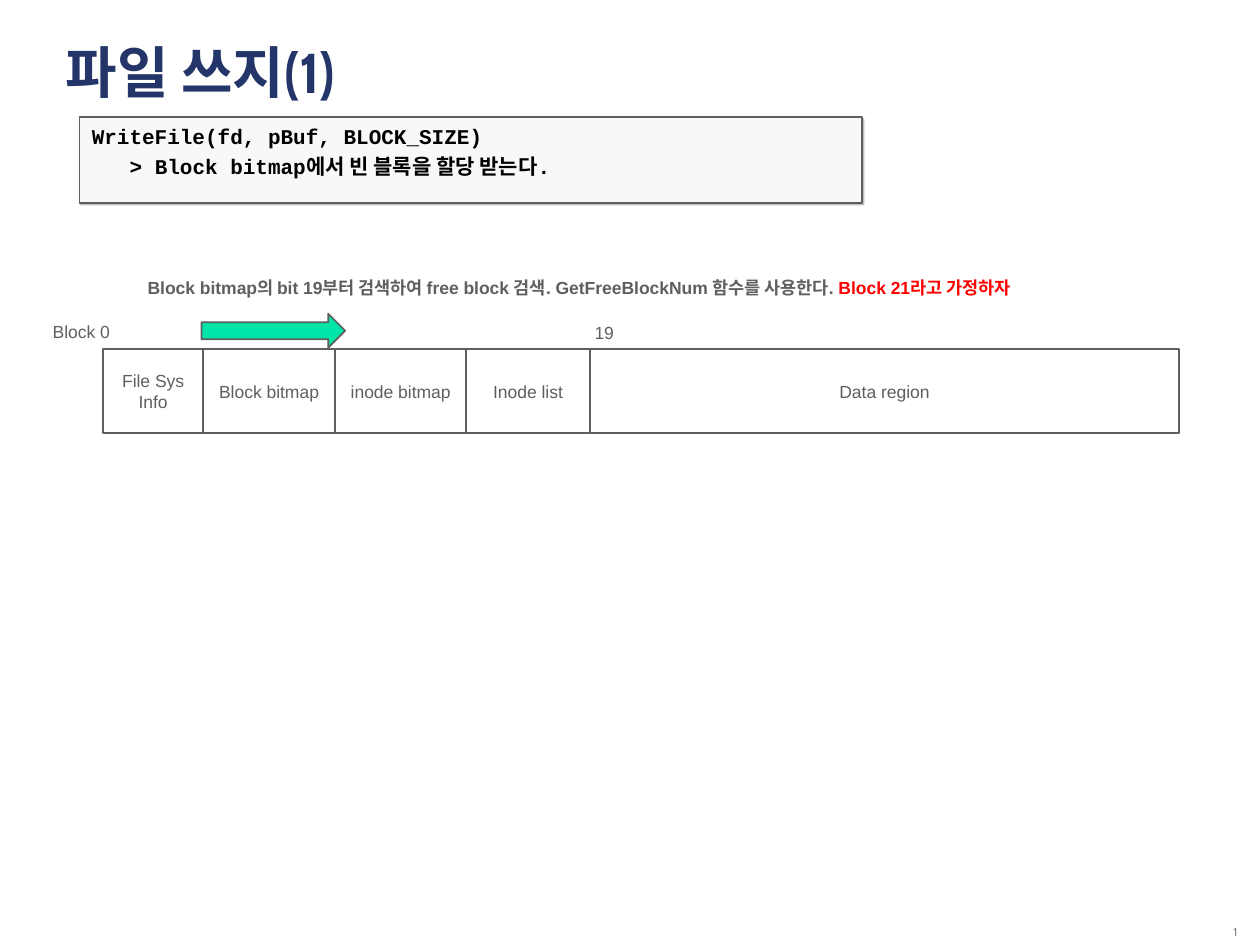
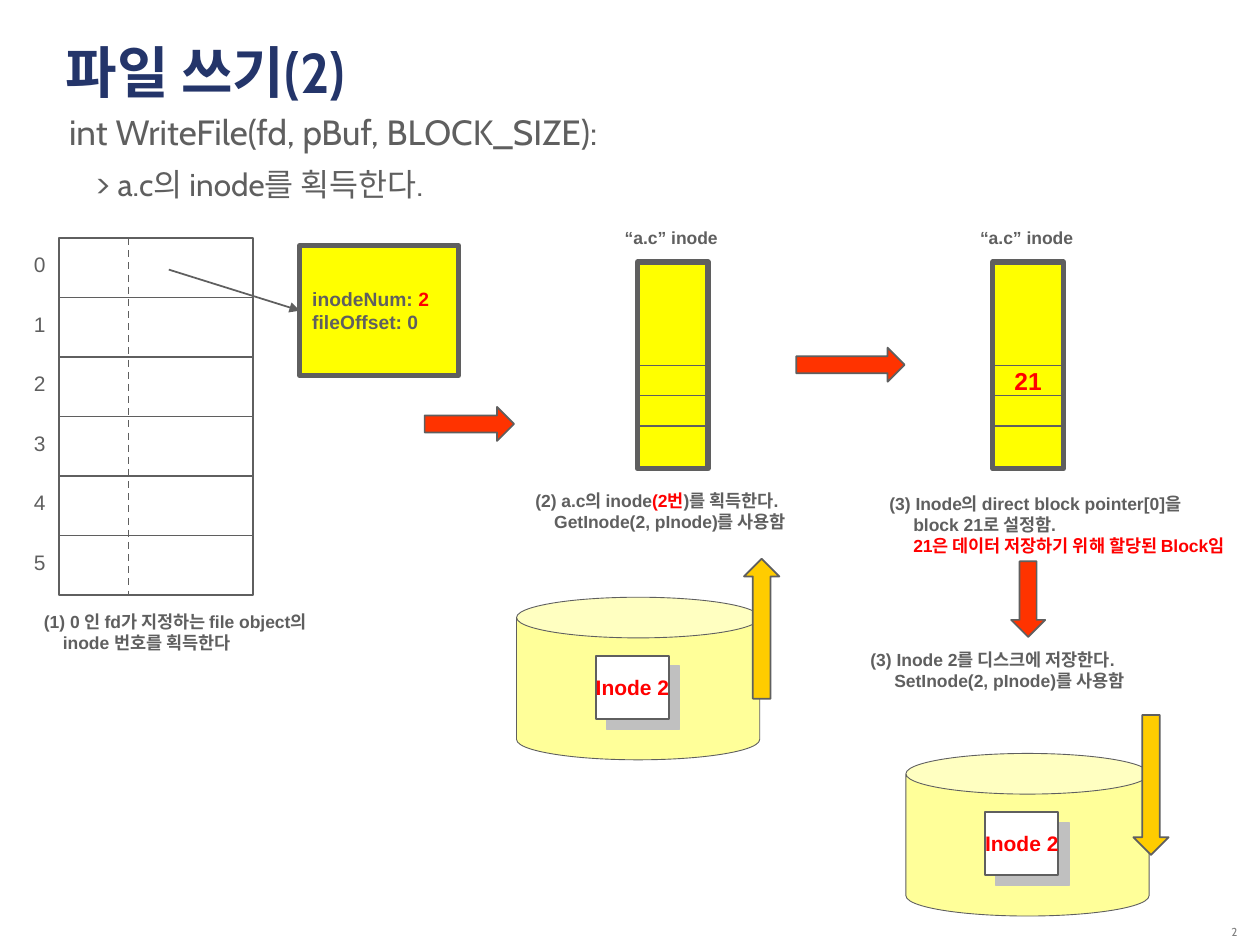
from itertools import accumulate

from lxml import etree
from pptx import Presentation
from pptx import util as u
from pptx.dml.color import RGBColor
from pptx.enum import dml, shapes, text
from pptx.oxml import parse_xml
from pptx.oxml.ns import nsdecls, qn

# The slide is a grid of 100 columns by 75 rows; all places use these units.
COLS, ROWS = 100, 75
WIDE, HIGH = u.Inches(10), u.Inches(7.5)

NAVY, GRAY, RED, WHITE = "24356A", "5F5F5F", "FF0000", "FFFFFF"
YELLOW, CREAM, AMBER = "FFFF00", "FFFF99", "FFCC00"
ORANGE, GREEN = "FF3300", "00E4A8"
KIND = shapes.MSO_SHAPE
ALIGN, ANCHOR = text.PP_ALIGN, text.MSO_ANCHOR


def rgb(code):
    return RGBColor.from_string(code)


def col(n):
    return round(WIDE * n / COLS)


def row(n):
    return round(HIGH * n / ROWS)


def area(x, y, w, h):
    return col(x), row(y), col(w), row(h)


def write(item, lines, size=10, color=GRAY, bold=False, font="Arial",
          align=ALIGN.LEFT, anchor=ANCHOR.TOP, wrap=False, indent=0, gap=0):
    """Fill with lines, each a string or a list of (text, colour) runs.

    Lines after the first are indented by that many columns.
    """
    frame = item.text_frame
    frame.word_wrap = wrap
    frame.auto_size = text.MSO_AUTO_SIZE.NONE
    frame.vertical_anchor = anchor
    for i, line in enumerate(lines):
        para = frame.paragraphs[0] if i == 0 else frame.add_paragraph()
        para.alignment = align
        para.space_before = u.Pt(gap)
        para.font.name, para.font.size = font, u.Pt(size)
        para.font.bold = bold
        para.font.color.rgb = rgb(color)
        if i and indent:
            para._p.get_or_add_pPr().set("marL", str(col(indent)))
        for words, tint in [(line, color)] if isinstance(line, str) else line:
            run = para.add_run()
            run.text = words
            if tint != color:
                run.font.color.rgb = rgb(tint)
    return item


def label(slide, place, lines, **style):
    return write(slide.shapes.add_textbox(*area(*place)), lines, **style)


def block(slide, place, fill=WHITE, kind=KIND.RECTANGLE, line=1):
    item = slide.shapes.add_shape(kind, *area(*place))
    item.shadow.inherit = False
    item.fill.solid()
    item.fill.fore_color.rgb = rgb(fill)
    item.line.color.rgb = rgb(GRAY)
    item.line.width = u.Pt(line)
    return item


def shade(item, color, alpha, dist):
    """Cast a hard shadow down and to the right."""
    effects = item._element.spPr.find(qn("a:effectLst"))
    effects.append(parse_xml(
        f'<a:outerShdw {nsdecls("a")} dist="{u.Pt(dist)}" dir="2700000" algn="ctr" '
        f'rotWithShape="0"><a:srgbClr val="{color}"><a:alpha val="{alpha}000"/>'
        f'</a:srgbClr></a:outerShdw>'))


def rule(slide, x1, y1, x2, y2, dash=False, head=False):
    item = slide.shapes.add_connector(
        shapes.MSO_CONNECTOR.STRAIGHT, col(x1), row(y1), col(x2), row(y2))
    item.line.color.rgb = rgb(GRAY)
    item.line.width = u.Pt(1)
    if dash:
        item.line.dash_style = dml.MSO_LINE.DASH
    if head:
        etree.SubElement(item.line._get_or_add_ln(), qn("a:tailEnd"), type="triangle")
    etree.SubElement(item._element.spPr, qn("a:effectLst"))
    return item


def number(slide, n):
    item = label(slide, (89.2, 72.5, 10, 2.5), [], anchor=ANCHOR.BOTTOM)
    para = item.text_frame.paragraphs[0]
    para.alignment = ALIGN.RIGHT
    para.line_spacing = 0.8
    para._p.append(parse_xml(
        f'<a:fld {nsdecls("a")} id="{{B6F15528-21DE-4FAA-801E-634DDDAF4B2B}}" '
        f'type="slidenum"><a:rPr lang="en-US" sz="660"><a:solidFill>'
        f'<a:srgbClr val="808080"/></a:solidFill><a:latin typeface="Cabin"/>'
        f'</a:rPr><a:t>{n}</a:t></a:fld>'))


def start(deck, title):
    slide = deck.slides.add_slide(deck.slide_layouts[5])
    head = slide.shapes.title
    head.left, head.top, head.width, head.height = area(4.2, 2.5, 90.3, 12.2)
    write(head, [title], size=32, color=NAVY, bold=True, font="Cabin", wrap=True)
    number(slide, len(deck.slides))
    return slide


def strip(slide, x, y, h, parts):
    """Draw the disk regions side by side from (lines, width) pairs."""
    edges = accumulate((w for _, w in parts), initial=x)
    for (lines, w), left in zip(parts, edges):
        write(block(slide, (left, y, w, h)), lines,
              align=ALIGN.CENTER, anchor=ANCHOR.MIDDLE)


def table(slide, x, y, w, step, count):
    """Draw the numbered file descriptor slots."""
    for i in range(count):
        top = y + i * step
        block(slide, (x, top, w, step))
        label(slide, (x - 3, top + 0.6, 2.9, 3), [str(i)], size=12)
    rule(slide, x + 5.5, y, x + 5.5, y + count * step, dash=True)


def inode(slide, x, y, value=None):
    w, first, step = 5.6, 8.2, 2.4
    label(slide, (x - 2, y - 3.3, 9.4, 2.7), ["“a.c” inode"], bold=True)
    block(slide, (x, y, w, 16.4), YELLOW, line=3)
    for i in range(3):
        level = y + first + i * step
        rule(slide, x, level, x + w, level)
    if value:
        label(slide, (x, y + first, w, step), [value], size=14, color=RED, bold=True,
              align=ALIGN.CENTER, anchor=ANCHOR.MIDDLE)


def disk(slide, x, y):
    block(slide, (x, y, 19.3, 12.9), CREAM, KIND.CAN, line=0.5)
    card = block(slide, (x + 6.3, y + 4.65, 5.8, 5))
    shade(card, "C0C0C0", 100, 8.5)
    write(card, ["Inode 2"], size=12, color=RED, bold=True,
          align=ALIGN.CENTER, anchor=ANCHOR.MIDDLE)


def bitmap(deck):
    slide = start(deck, "파일 쓰지(1)")
    code = block(slide, (6.3, 9.3, 62.1, 6.8), "F8F8F8")
    shade(code, "808080", 50, 1.4)
    write(code, ["WriteFile(fd, pBuf, BLOCK_SIZE)",
                 "> Block bitmap에서 빈 블록을 할당 받는다."],
          size=12, color="000000", bold=True, font="Courier New", indent=3, gap=3)
    strip(slide, 8.2, 27.7, 6.7, [
        (["File Sys", "Info"], 7.9), (["Block bitmap"], 10.5),
        (["inode bitmap"], 10.4), (["Inode list"], 9.8), (["Data region"], 46.8)])
    label(slide, (3.2, 25, 6.5, 2.7), ["Block 0"])
    label(slide, (46.2, 25.1, 3.5, 2.7), ["19"])
    label(slide, (9.4, 21.5, 73.1, 2.7), [[
        ("Block bitmap의 bit 19부터 검색하여 free block 검색. "
         "GetFreeBlockNum 함수를 사용한다. ", GRAY),
        ("Block 21라고 가정하자", RED)]],
        bold=True, align=ALIGN.CENTER, wrap=True)
    block(slide, (16, 24.9, 11.4, 2.7), GREEN, KIND.RIGHT_ARROW)


def steps(deck):
    slide = start(deck, "파일 쓰기(2)")
    body = label(slide, (4.5, 8.3, 91.5, 9.1), [
        "int WriteFile(fd, pBuf, BLOCK_SIZE):",
        [("> ", GRAY), ("a.c의 inode를 획득한다.", GRAY)]],
        size=20, font="Cabin", wrap=True, indent=2.1, gap=5)
    body.text_frame.paragraphs[1].runs[1].font.size = u.Pt(18)

    entry = write(block(slide, (23.8, 19.5, 12.6, 10.3), YELLOW, line=3),
                  [[("inodeNum: ", GRAY), ("2", RED)], "fileOffset: 0"],
                  size=11, bold=True, anchor=ANCHOR.MIDDLE)
    table(slide, 4.7, 18.9, 15.4, 4.72, 6)
    rule(slide, 13.4, 21.4, 23.8, 24.6, head=True).end_connect(entry, 1)

    inode(slide, 50.6, 20.8)
    inode(slide, 78.8, 20.8, "21")
    disk(slide, 41, 47.4)
    disk(slide, 71.9, 59.8)

    for place, fill, kind in [
            ((33.7, 32.3, 7.1, 2.7), ORANGE, KIND.RIGHT_ARROW),
            ((63.2, 27.6, 8.6, 2.7), ORANGE, KIND.RIGHT_ARROW),
            ((80.25, 44.55, 2.7, 6), ORANGE, KIND.DOWN_ARROW),
            ((59.05, 44.35, 2.8, 11.1), AMBER, KIND.UP_ARROW),
            ((89.95, 56.75, 2.8, 11.1), AMBER, KIND.DOWN_ARROW)]:
        block(slide, place, fill, kind)

    for place, indent, lines in [
            ((2.5, 48, 25.1, 4.4), 1.5,
             ["(1) 0 인 fd가 지정하는 file object의", "inode 번호를 획득한다"]),
            ((41.5, 38.4, 23.8, 4.4), 1.5,
             [[("(2) a.c의 inode", GRAY), ("(2번", RED), (")를 획득한다.", GRAY)],
              "GetInode(2, pInode)를 사용함"]),
            ((69.6, 38.6, 29.9, 6), 1.9,
             ["(3) Inode의 direct block pointer[0]을", "block 21로 설정함.",
              [("21은 데이터 저장하기 위해 할당된 Block임", RED)]]),
            ((68.1, 51, 22.6, 4.4), 1.9,
             ["(3) Inode 2를 디스크에 저장한다.", "SetInode(2, pInode)를 사용함"])]:
        label(slide, place, lines, bold=True, indent=indent)


def main():
    deck = Presentation()
    deck.slide_width, deck.slide_height = WIDE, HIGH
    bitmap(deck)
    steps(deck)
    deck.save("out.pptx")


if __name__ == "__main__":
    main()
